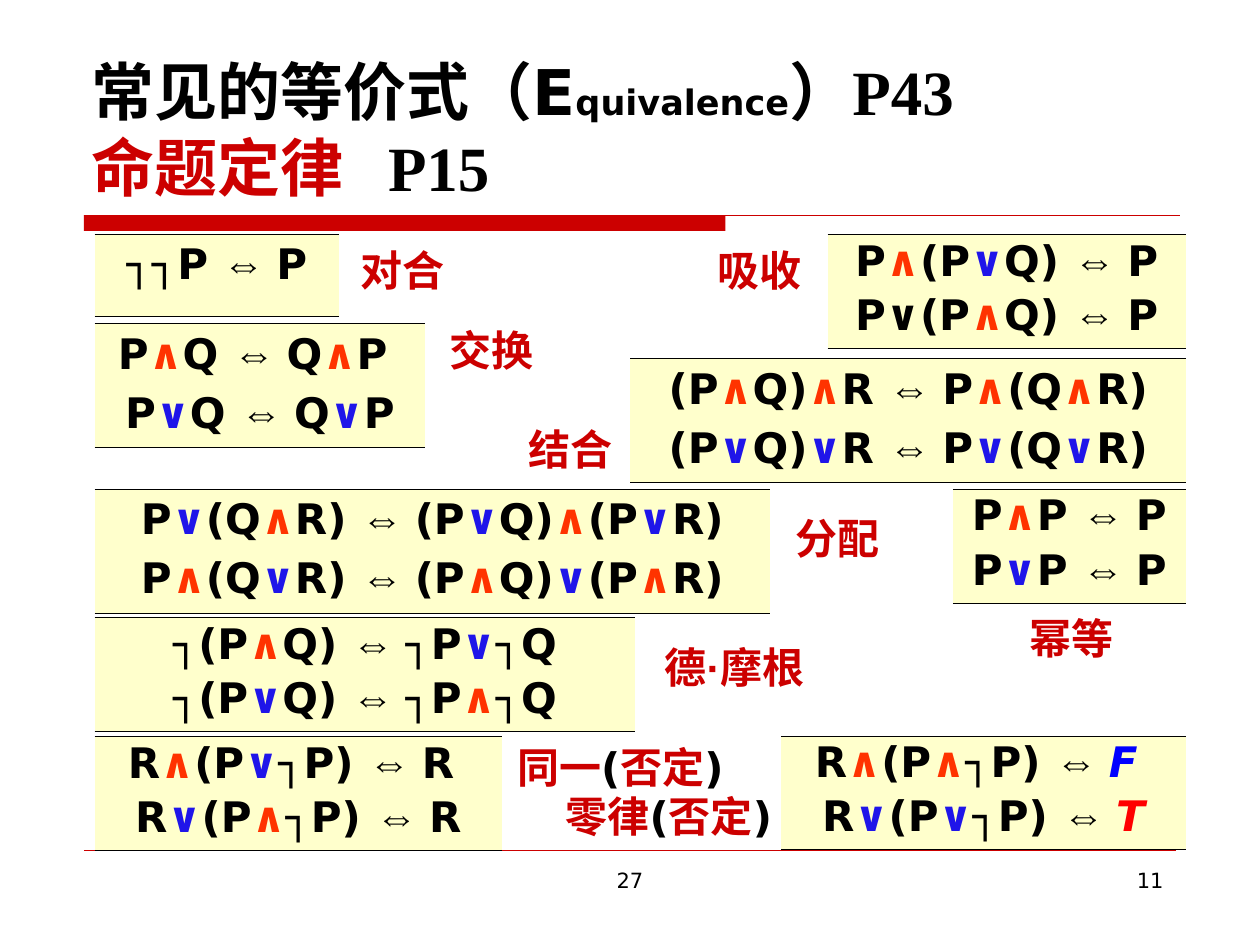
"""Builds a slide of the common equivalences of propositional logic."""
from itertools import groupby

from lxml.etree import SubElement
from pptx import Presentation
from pptx.dml.color import RGBColor
from pptx.enum.shapes import MSO_CONNECTOR as CONN, MSO_SHAPE as SHAPE
from pptx.enum.text import MSO_ANCHOR as ANCHOR, MSO_AUTO_SIZE as AUTO, PP_ALIGN as ALIGN
from pptx.oxml.ns import qn
from pptx.util import Pt

BLACK = RGBColor(0x00, 0x00, 0x00)
CRIMSON = RGBColor(0xCC, 0x00, 0x00)
CREAM = RGBColor(0xFF, 0xFF, 0xCC)
ORANGE = RGBColor(0xFF, 0x33, 0x00)
INDIGO = RGBColor(0x1F, 0x15, 0xE9)
BLUE = RGBColor(0x00, 0x00, 0xFF)
RED = RGBColor(0xFF, 0x00, 0x00)

SANS, ARIAL, SERIF = "DejaVu Sans", "Arial", "Times New Roman"
SYMBOL_COLORS = {"∧": ORANGE, "∨": INDIGO, "F": BLUE, "T": RED, "(": BLACK, ")": BLACK}

LAWS = [
    ((54, 353, 309, 65), 0.9, ["┐(P∧Q) ⇔ ┐P∨┐Q", "┐(P∨Q) ⇔ ┐P∧┐Q"]),
    ((54, 279.5, 386, 70.5), 1, ["P∨(Q∧R) ⇔ (P∨Q)∧(P∨R)", "P∧(Q∨R) ⇔ (P∧Q)∨(P∧R)"]),
    ((54, 134, 140, 47), 1, ["┐┐P ⇔ P"]),
    ((544.5, 279.5, 133, 65), 0.9, ["P∧P ⇔ P", "P∨P ⇔ P"]),
    ((360, 205, 318, 70.5), 1, ["(P∧Q)∧R ⇔ P∧(Q∧R)", "(P∨Q)∨R ⇔ P∨(Q∨R)"]),
    ((54, 185, 189, 70.5), 1, ["P∧Q ⇔ Q∧P ", "P∨Q ⇔ Q∨P"]),
    ((54, 421, 233, 65), 0.9, ["R∧(P∨┐P) ⇔ R ", "R∨(P∧┐P) ⇔ R"]),
    ((446.5, 420.5, 231, 65), 0.9, ["R∧(P∧┐P) ⇔ F ", "R∨(P∨┐P) ⇔ T"]),
]
ABSORPTION = ((473, 134, 204.5, 65), 0.9, ["P∧(P∨Q) ⇔ P", "P∨(P∧Q) ⇔ P"])

LABELS = [
    ((196, 139.5, 67.5, 33), "对合"),
    ((400, 139.5, 67.5, 33), "吸收"),
    ((247, 185, 67.5, 33), "交换"),
    ((292, 242, 67.5, 33), "结合"),
    ((445, 292.5, 67.5, 33), "分配"),
    ((575.5, 349.5, 73.5, 33), "幂等"),
    ((371.5, 366.5, 96.5, 59), "德·摩根"),
    ((275, 423.5, 159, 33), "同一(否定)"),
    ((303, 451.5, 158.5, 33), "零律(否定)"),
]


class Slide:
    """Holds the style and the slide being filled."""

    size = 24

    def __init__(self, prs):
        self.s = prs.slides.add_slide(prs.slide_layouts[5])

    def run(self, p, text, color, font=SANS, size=None):
        r = p.add_run()
        r.text = text
        r.font.name = font
        r.font.color.rgb = color
        if size:
            r.font.size = Pt(size)
        return r

    def symbols(self, p, text, base):
        def style(pair):
            prev, ch = pair
            key = prev if ch == " " and prev == "⇔" else ch
            return SYMBOL_COLORS.get(key, base), ARIAL if key in "⇔·" else SANS, key in "FT"

        for (color, font, italic), pairs in groupby(zip(" " + text, text), style):
            r = self.run(p, "".join(ch for _, ch in pairs), color, font)
            if italic:
                r.font.italic = True
        p.alignment = ALIGN.CENTER
        p.font.size = Pt(self.size)
        p.font.bold = True

    def title(self, box, lines, tab):
        sp = self.s.shapes.title
        sp.left, sp.top, sp.width, sp.height = map(Pt, box)
        tf = sp.text_frame
        tf.auto_size = AUTO.NONE
        tf.vertical_anchor = ANCHOR.BOTTOM
        p = tf.paragraphs[0]
        p.alignment = ALIGN.LEFT
        tabs = SubElement(p._p.get_or_add_pPr(), qn("a:tabLst"))
        SubElement(tabs, qn("a:tab"), pos=str(Pt(tab)), algn="l")
        for i, line in enumerate(lines):
            if i:
                p.add_line_break()
            for spec_run in line:
                self.run(p, *spec_run)
        p.font.bold = True

    def textbox(self, box):
        tf = self.s.shapes.add_textbox(*map(Pt, box)).text_frame
        tf.word_wrap = True
        return tf.paragraphs[0]

    def label(self, box, text):
        p = self.textbox(box)
        p.line_spacing = 0.9
        self.symbols(p, text, CRIMSON)

    def footer(self, box, text, align):
        p = self.textbox(box)
        p.alignment = align
        p.font.size = Pt(12)
        self.run(p, text, BLACK)

    def formulas(self, box, spacing, lines):
        table = self.s.shapes.add_table(1, 1, *map(Pt, box)).table
        table.first_row = table.horz_banding = False
        cell = table.cell(0, 0)
        tcPr = cell._tc.get_or_add_tcPr()
        for side in "LRTB":
            ln = SubElement(tcPr, qn(f"a:ln{side}"), w=str(Pt(0.45)))
            if side in "LR":
                SubElement(ln, qn("a:noFill"))
            else:
                fill = SubElement(ln, qn("a:solidFill"))
                SubElement(fill, qn("a:srgbClr"), val=str(BLACK))
        cell.fill.solid()
        cell.fill.fore_color.rgb = CREAM
        tf = cell.text_frame
        for i, line in enumerate(lines):
            p = tf.add_paragraph() if i else tf.paragraphs[0]
            p.line_spacing = spacing
            if i:
                p.space_before = Pt(6)
            self.symbols(p, line, BLACK)
        return tf

    def bar(self, box):
        sp = self.s.shapes.add_shape(SHAPE.RECTANGLE, *map(Pt, box))
        sp.shadow.inherit = False
        sp.fill.solid()
        sp.fill.fore_color.rgb = CRIMSON
        sp.line.fill.background()

    def rule(self, left, right, y, width):
        c = self.s.shapes.add_connector(CONN.STRAIGHT, Pt(left), Pt(y), Pt(right), Pt(y))
        c.line.color.rgb = CRIMSON
        c.line.width = Pt(width)
        SubElement(c._element.spPr, qn("a:effectLst"))


def main():
    prs = Presentation()
    prs.slide_width, prs.slide_height = Pt(720), Pt(540)
    slide = Slide(prs)
    slide.bar((48, 123, 366.5, 9))
    slide.rule(48, 674.5, 123, 0.75)
    slide.rule(48, 672, 486, 0.25)
    slide.footer((246, 492, 228, 37.5), "27", ALIGN.CENTER)
    slide.footer((516, 492, 156, 37.5), "11", ALIGN.RIGHT)
    slide.title((45, 24, 675, 96), [
        [("常见的等价式（E", BLACK, SANS, 36), ("quivalence", BLACK, SANS, 20),
         ("）", BLACK, SANS, 36), ("P43", BLACK, SERIF, 36)],
        [("命题定律\t", CRIMSON, SANS, 36), ("P15", BLACK, SERIF, 36)],
    ], 169.5)
    for law in LAWS:
        slide.formulas(*law)
    absorption = slide.formulas(*ABSORPTION)
    absorption.paragraphs[1].runs[1].font.color.rgb = BLACK
    for label in LABELS:
        slide.label(*label)
    prs.save("out.pptx")


if __name__ == "__main__":
    main()
